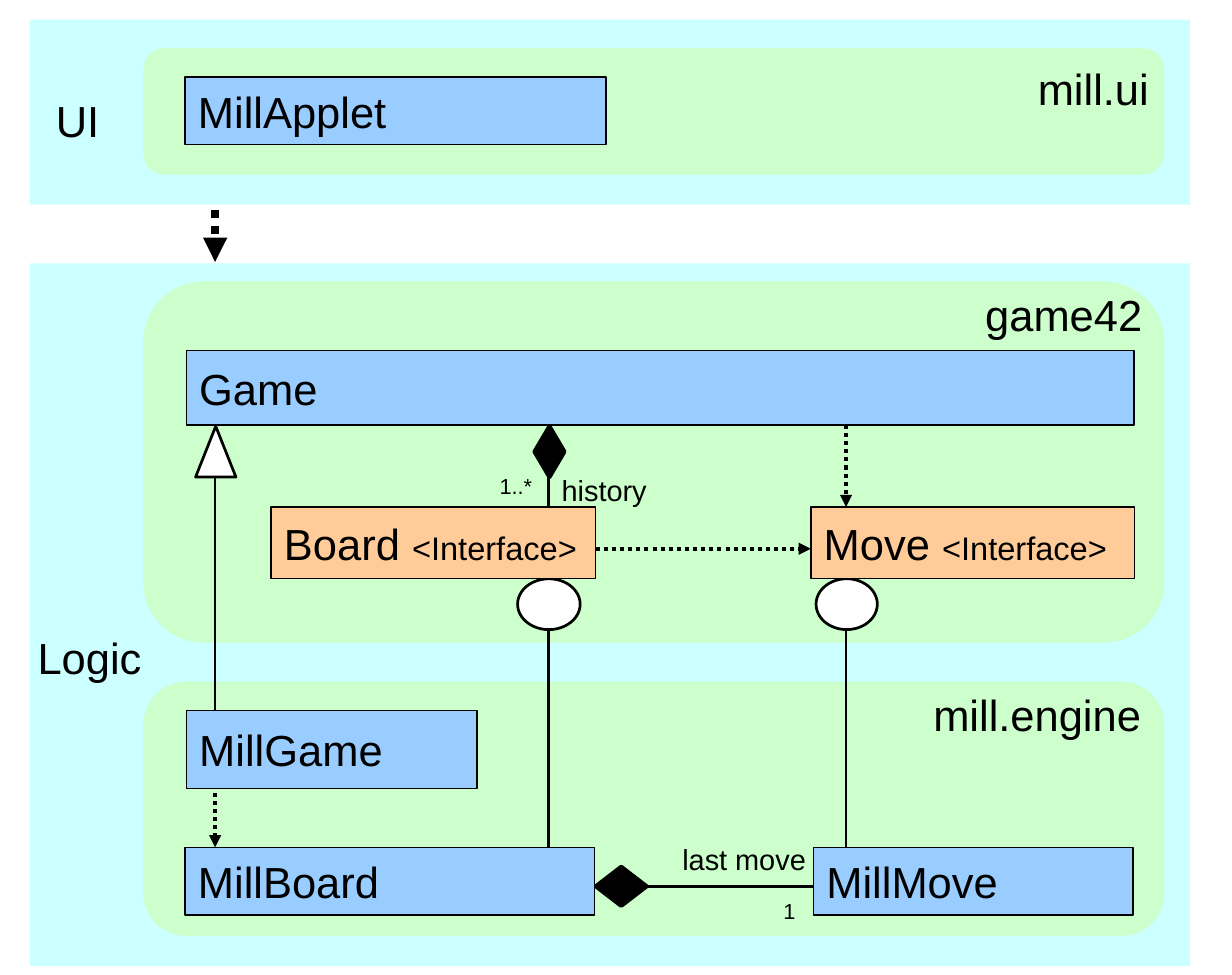
from dataclasses import dataclass

from pptx import Presentation
from pptx import util as u
from pptx.dml.color import RGBColor
from pptx.enum import dml, shapes, text
from pptx.oxml.ns import qn
from pptx.oxml.xmlchemy import OxmlElement
from pptx.shapes.autoshape import Shape
from pptx.slide import Slide
from pptx.text.text import TextFrame

PX = 9144  # EMU per px, 100 px to the inch
FONT = "Arial"
CYAN = RGBColor(0xCC, 0xFF, 0xFF)
GREEN = RGBColor(0xCC, 0xFF, 0xCC)
BLUE = RGBColor(0x99, 0xCC, 0xFF)
ORANGE = RGBColor(0xFF, 0xCC, 0x99)
BLACK = RGBColor(0, 0, 0)
WHITE = RGBColor(0xFF, 0xFF, 0xFF)

KIND = shapes.MSO_SHAPE
TITLE, STEREOTYPE, ROLE, COUNT = 24, 18, 16, 12
LABEL_HEIGHT = {TITLE: 50, ROLE: 37, COUNT: 30}

# Columns and rows that several elements share
GAME_X, BOARD_X, MOVE_X = 165, 421, 649
INTERFACE_Y, ENGINE_Y, SYMBOL_Y, CIRCLE_Y = 389, 650, 327, 444


@dataclass(frozen=True)
class Area:
    left: int
    top: int
    width: int
    height: int


@dataclass(frozen=True)
class ClassBox:
    name: str
    area: Area
    interface: bool = False


@dataclass(frozen=True)
class Link:
    start: tuple[int, int]
    end: tuple[int, int]
    weight: float = 1.5
    dotted: bool = False
    arrow: bool = True


@dataclass(frozen=True)
class Symbol:
    kind: shapes.MSO_SHAPE
    area: Area
    fill: RGBColor = WHITE
    weight: float = 1.5


@dataclass(frozen=True)
class Label:
    wording: str
    left: int
    top: int
    width: int
    size: int = TITLE
    right: bool = True


LAYERS = [Area(23, 15, 890, 142), Area(23, 202, 890, 539)]
PACKAGES = [Area(110, top, 783, height) for top, height in ((37, 97), (216, 277), (523, 195))]

LINKS = [
    Link((GAME_X, 161), (GAME_X, 201), 4.5, dotted=True),
    Link((GAME_X, 556), (GAME_X, 342)),
    Link((GAME_X, 602), (GAME_X, ENGINE_Y), 2.25, dotted=True),
    Link((BOARD_X, 342), (BOARD_X, INTERFACE_Y), arrow=False),
    Link((BOARD_X, 691), (BOARD_X, 452)),
    Link((MOVE_X, 326), (MOVE_X, INTERFACE_Y), 2.25, dotted=True),
    Link((MOVE_X, 696), (MOVE_X, 460)),
    Link((457, 421), (622, 421), 2.25, dotted=True),
    Link((624, 680), (476, 680), arrow=False),
]

SYMBOLS = [
    Symbol(KIND.ISOSCELES_TRIANGLE, Area(150, SYMBOL_Y, 31, 39)),
    Symbol(KIND.DIAMOND, Area(410, SYMBOL_Y, 23, 39), BLACK, 2.25),
    Symbol(KIND.DIAMOND, Area(457, 665, 39, 30), BLACK, 2.25),
    Symbol(KIND.OVAL, Area(397, CIRCLE_Y, 48, 39)),
    Symbol(KIND.OVAL, Area(626, CIRCLE_Y, 47, 39)),
]

CLASSES = [
    ClassBox("MillApplet", Area(142, 59, 323, 52)),
    ClassBox("Game", Area(143, 269, 727, 57)),
    ClassBox("Board", Area(208, INTERFACE_Y, 249, 55), interface=True),
    ClassBox("Move", Area(622, INTERFACE_Y, 248, 55), interface=True),
    ClassBox("MillGame", Area(143, 545, 223, 60)),
    ClassBox("MillBoard", Area(142, ENGINE_Y, 314, 52)),
    ClassBox("MillMove", Area(624, ENGINE_Y, 245, 52)),
]

LABELS = [
    Label("UI", 33, 67, 126, right=False),
    Label("Logic", 19, 479, 130, right=False),
    Label("mill.ui", 709, 43, 182),
    Label("game42", 421, 216, 465),
    Label("mill.engine", 657, 523, 228),
    Label("history", 421, 358, 111, ROLE, right=False),
    Label("last move", 500, 641, 128, ROLE),
    Label("1..*", 334, 358, 84, COUNT),
    Label("1", 564, 684, 56, COUNT),
]


def px(*lengths: int) -> list[u.Emu]:
    return [u.Emu(length * PX) for length in lengths]


def add_outline(page: Slide, kind: shapes.MSO_SHAPE, area: Area,
                fill: RGBColor, weight: float = 0) -> Shape:
    """Draw a filled preset shape; a weight of 0 leaves out its line."""
    shape = page.shapes.add_shape(kind, *px(area.left, area.top, area.width, area.height))
    shape.shadow.inherit = False
    shape.fill.solid()
    shape.fill.fore_color.rgb = fill
    if weight:
        shape.line.color.rgb = BLACK
        shape.line.width = u.Pt(weight)
    else:
        shape.line.fill.background()
    return shape


def write(frame: TextFrame, runs: list[tuple[str, int]], align: text.PP_ALIGN) -> None:
    frame.word_wrap = True
    para = frame.paragraphs[0]
    para.alignment = align
    for wording, size in runs:
        span = para.add_run()
        span.text = wording
        span.font.name = FONT
        span.font.size = u.Pt(size)
        span.font.color.rgb = BLACK


def add_class(page: Slide, item: ClassBox) -> None:
    box = add_outline(page, KIND.RECTANGLE, item.area, ORANGE if item.interface else BLUE, 0.75)
    runs = [(item.name, TITLE)]
    if item.interface:
        runs = [(item.name + " ", TITLE), ("<Interface>", STEREOTYPE)]
    box.text_frame.vertical_anchor = text.MSO_ANCHOR.MIDDLE
    write(box.text_frame, runs, text.PP_ALIGN.LEFT)


def add_link(page: Slide, link: Link) -> None:
    line = page.shapes.add_connector(shapes.MSO_CONNECTOR.STRAIGHT, *px(*link.start, *link.end))
    line.line.color.rgb = BLACK
    line.line.width = u.Pt(link.weight)
    if link.dotted:
        line.line.dash_style = dml.MSO_LINE.ROUND_DOT
    properties = line.element.spPr
    if link.arrow:
        tail = OxmlElement("a:tailEnd")
        tail.set("type", "triangle")
        properties.find(qn("a:ln")).append(tail)
    properties.append(OxmlElement("a:effectLst"))


def add_label(page: Slide, label: Label) -> None:
    box = page.shapes.add_textbox(
        *px(label.left, label.top, label.width, LABEL_HEIGHT[label.size]))
    align = text.PP_ALIGN.RIGHT if label.right else text.PP_ALIGN.LEFT
    write(box.text_frame, [(label.wording, label.size)], align)
    box.text_frame.auto_size = text.MSO_AUTO_SIZE.SHAPE_TO_FIT_TEXT


def main() -> None:
    deck = Presentation()
    deck.slide_width, deck.slide_height = px(945, 748)
    page = deck.slides.add_slide(deck.slide_layouts[6])
    for area in LAYERS:
        add_outline(page, KIND.RECTANGLE, area, CYAN)
    for area in PACKAGES:
        add_outline(page, KIND.ROUNDED_RECTANGLE, area, GREEN)
    for link in LINKS:
        add_link(page, link)
    for symbol in SYMBOLS:
        add_outline(page, symbol.kind, symbol.area, symbol.fill, symbol.weight)
    for item in CLASSES:
        add_class(page, item)
    for label in LABELS:
        add_label(page, label)
    deck.save("out.pptx")


if __name__ == "__main__":
    main()
